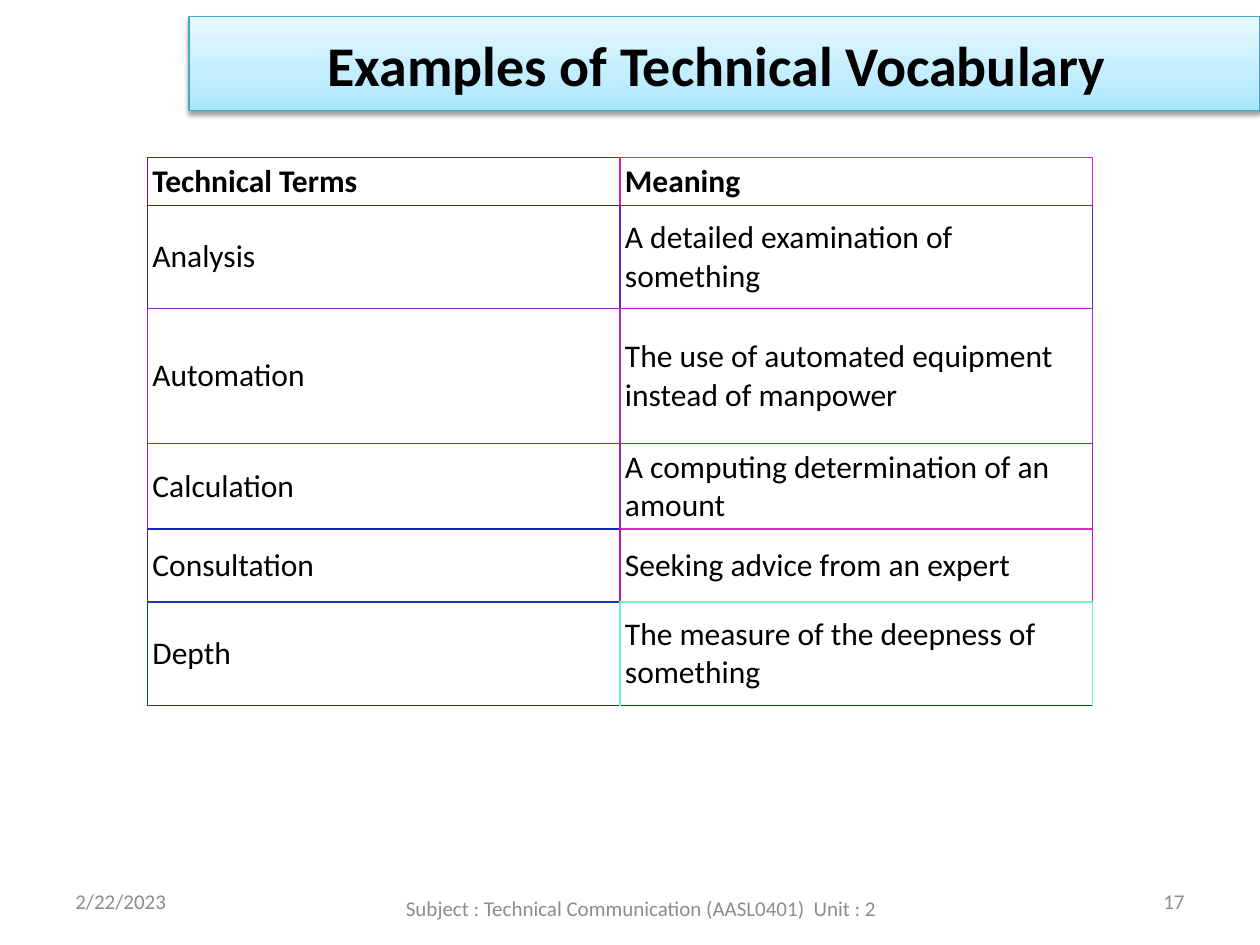
import copy

import lxml.etree
import pptx
import pptx.dml.color
import pptx.enum.shapes
import pptx.enum.text
import pptx.oxml.ns
import pptx.util

Inches = pptx.util.Inches
Pt = pptx.util.Pt
Align = pptx.enum.text.PP_ALIGN
Anchor = pptx.enum.text.MSO_ANCHOR


def paint(target, code):
    target.rgb = pptx.dml.color.RGBColor.from_string(code)


def child(parent, tag, **attrs):
    return lxml.etree.SubElement(parent, pptx.oxml.ns.qn(tag), attrs)


def write(frame, text, size=18, color="000000", bold=False, align=Align.LEFT, face="Calibri"):
    frame.word_wrap = True
    line = frame.paragraphs[0]
    line.alignment = align
    run = line.add_run()
    run.text = text
    run.font.name = face
    run.font.size = Pt(size)
    run.font.bold = bold
    paint(run.font.color, color)


class Deck:
    ink = "000000"
    gray = "8C8C8C"
    edge = "46AAC5"
    glow = [(0, "A7E6FF"), (35, "C1EDFF"), (100, "E7F8FF")]

    def __init__(self, slide):
        self.slide = slide

    def label(self, text, box, align, inset=0.1):
        shape = self.slide.shapes.add_textbox(*map(Inches, box))
        frame = shape.text_frame
        frame.vertical_anchor = Anchor.MIDDLE
        frame.margin_right = Inches(inset)
        write(frame, text, size=12, color=self.gray, align=align)

    def banner(self, text, box):
        kind = pptx.enum.shapes.MSO_SHAPE.RECTANGLE
        shape = self.slide.shapes.add_shape(kind, *map(Inches, box))
        paint(shape.line.color, self.edge)
        shape.line.width = Pt(0.75)
        self.blend(shape.fill)
        self.shade(shape)
        frame = shape.text_frame
        frame.vertical_anchor = Anchor.MIDDLE
        frame.margin_right = Inches(0.22)
        write(frame, text, size=32, color=self.ink, bold=True, align=Align.CENTER)

    def blend(self, fill):
        fill.gradient()
        fill.gradient_angle = 90
        stops = fill.gradient_stops
        first = stops[0]._gs
        first.addnext(copy.deepcopy(first))
        for stop, (place, code) in zip(fill.gradient_stops, self.glow):
            stop.position = place / 100
            paint(stop.color, code)

    def shade(self, shape):
        shape.shadow.inherit = False
        effects = shape._element.spPr.find(pptx.oxml.ns.qn("a:effectLst"))
        outer = child(effects, "a:outerShdw", blurRad=str(Pt(3.1)), dist=str(Pt(1.6)),
                      dir="5400000", rotWithShape="0")
        child(child(outer, "a:srgbClr", val=self.ink), "a:alpha", val="38000")

    def border(self, cell, sides):
        props = cell._tc.get_or_add_tcPr()
        for side, (code, width) in zip("LRTB", sides):
            line = child(props, f"a:ln{side}", w=str(Pt(width)))
            child(child(line, "a:solidFill"), "a:srgbClr", val=code)

    def table(self, rows, box, heights, tints):
        shape = self.slide.shapes.add_table(len(rows), len(rows[0]), *map(Inches, box))
        grid = shape.table
        grid.horz_banding = False
        for r, (texts, height) in enumerate(zip(rows, heights)):
            grid.rows[r].height = Inches(height)
            for c, text in enumerate(texts):
                cell = grid.cell(r, c)
                left, right, top, base = tints[r][c]
                self.border(cell, [(left, 1), (right, 0.5 if c else 1), (top, 1), (base, 1)])
                cell.fill.solid()
                paint(cell.fill.fore_color, "FFFFFF")
                cell.vertical_anchor = Anchor.MIDDLE
                cell.margin_left = cell.margin_right = Inches(0.04)
                cell.margin_top = cell.margin_bottom = Inches(0.04)
                write(cell.text_frame, text, color=self.ink, bold=r == 0)


def main():
    show = pptx.Presentation()
    show.slide_width, show.slide_height = Inches(10), Inches(7.5)
    deck = Deck(show.slides.add_slide(show.slide_layouts[6]))

    deck.label("Subject : Technical Communication (AASL0401)  Unit : 2",
               (1.5, 6.95, 7.5, 0.52), Align.CENTER, inset=0.42)
    deck.banner("Examples of Technical Vocabulary", (1.5, 0.13, 8.5, 0.75))
    deck.label("2/22/2023", (0.5, 6.95, 2.33, 0.4), Align.LEFT)

    terms = [
        ("Technical Terms", "Meaning"),
        ("Analysis", "A detailed examination of something"),
        ("Automation", "The use of automated equipment instead of manpower"),
        ("Calculation", "A computing determination of an amount"),
        ("Consultation", "Seeking advice from an expert"),
        ("Depth", "The measure of the deepness of something"),
    ]
    lefts = ["700EBB", "2028BB", "902ABB", "7029BB", "4027BA", "2035BA"]
    mids = ["E01CBB", "6027BB", "B02BBB", "9025BA", "C012BB", "70F6BA"]
    rules = [
        ("700EBB", "E01CBB"), ("2028BB", "6027BB"), ("902ABB", "B02BBB"),
        ("7029BB", "9025BA"), ("1027BA", "E029BA"), ("2035BA", "70F6BA"),
        ("202FBA", "1036BA"),
    ]
    tints = [
        [(left, mid, top[0], base[0]), (mid, mid, top[1], base[1])]
        for left, mid, top, base in zip(lefts, mids, rules, rules[1:])
    ]
    heights = [0.38, 0.82, 1.07, 0.68, 0.58, 0.82]
    deck.table(terms, (1.17, 1.25, 7.5, sum(heights)), heights, tints)

    deck.label("17", (7.17, 6.95, 2.33, 0.4), Align.RIGHT)
    show.save("out.pptx")


if __name__ == "__main__":
    main()
